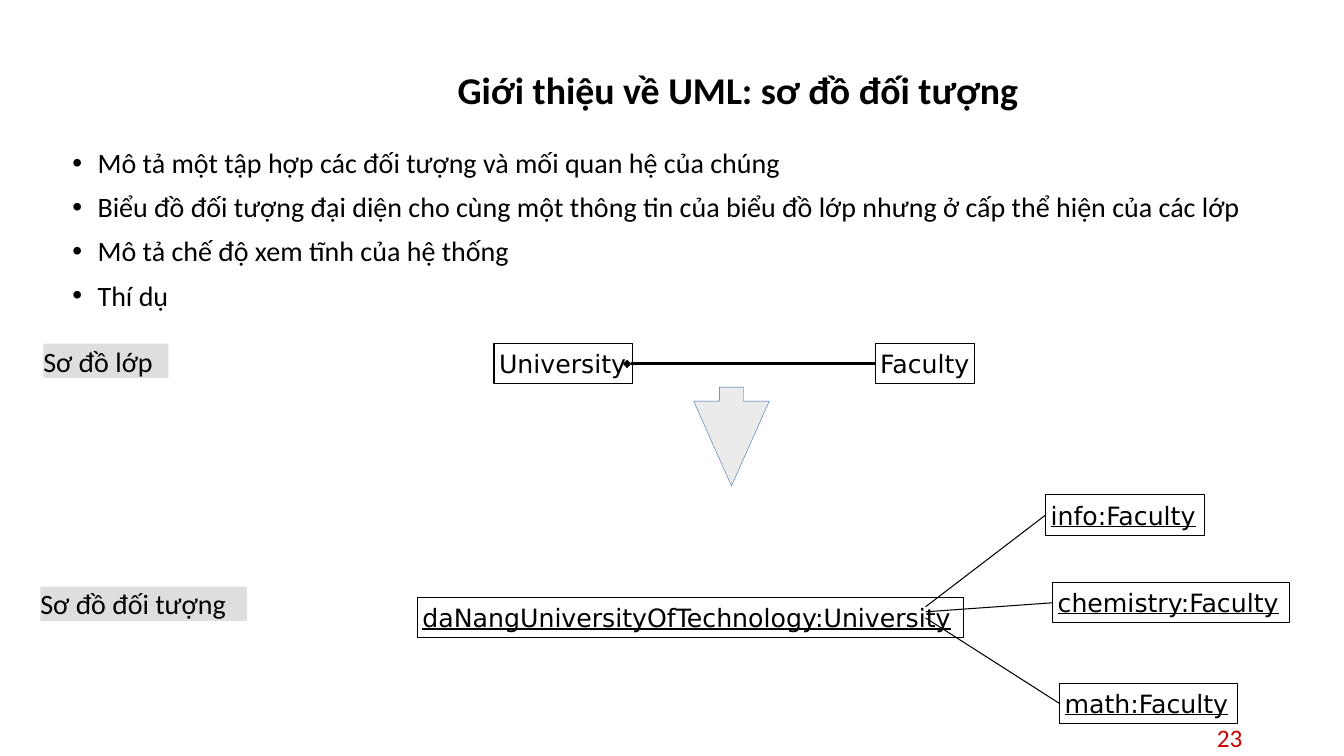
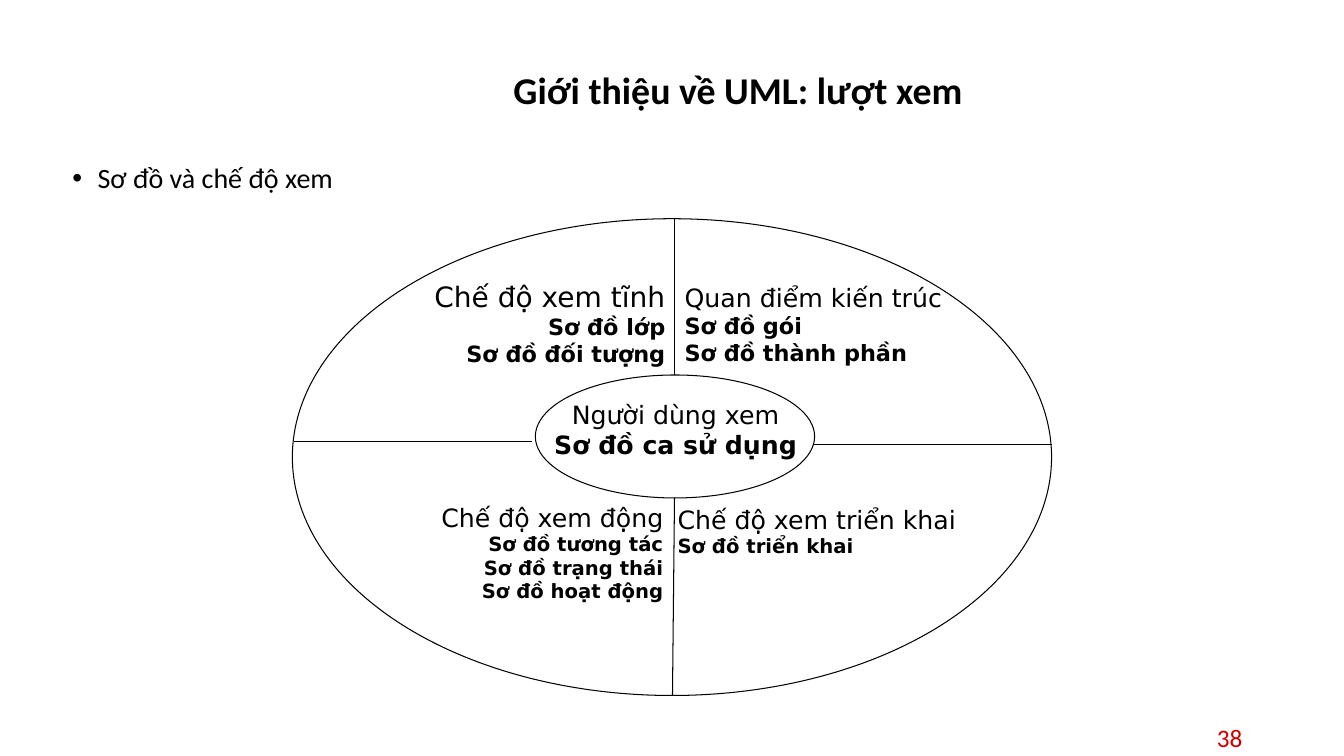
from lxml import etree
from pptx import Presentation
from pptx import util as u
from pptx.dml import color
from pptx.enum import shapes, text
from pptx.oxml import ns

HUES = {"ink": "000000", "page": "CC0000", "label": "DCDEE0", "arrow": "EBEBEB", "edge": "3465A4"}
BODY, CODE = "Calibri", "DejaVu Sans"
ALIGN = {"l": text.PP_ALIGN.LEFT, "c": text.PP_ALIGN.CENTER, "r": text.PP_ALIGN.RIGHT}
TOP, MID = text.MSO_ANCHOR.TOP, text.MSO_ANCHOR.MIDDLE


def hue(name):
    return color.RGBColor.from_string(HUES[name])


def write(frame, words, size=20, font=BODY, ink="ink", bold=False, under=False,
          align="l", lead=None, gap=None, dot=False):
    first = frame.paragraphs[0]
    para = frame.add_paragraph() if first.runs else first
    para.alignment = ALIGN[align]
    if lead:
        para.line_spacing = lead
    if gap:
        para.space_before = u.Pt(gap)
    if dot:
        props = para._p.get_or_add_pPr()
        props.set("marL", str(u.Inches(0.25)))
        props.set("indent", str(-u.Inches(0.25)))
        etree.SubElement(props, ns.qn("a:buFont")).set("typeface", "Arial")
        etree.SubElement(props, ns.qn("a:buChar")).set("char", "•")
    run = para.add_run()
    run.text = words
    run.font.size = u.Pt(size)
    run.font.name = font
    run.font.bold = bold
    run.font.underline = under
    run.font.color.rgb = hue(ink)


class Deck:
    def __init__(self):
        self.file = Presentation()
        self.file.slide_width = u.Inches(13.33)
        self.file.slide_height = u.Inches(7.5)
        self.slide = None

    def page(self, title, number, top, points):
        self.slide = self.file.slides.add_slide(self.file.slide_layouts[6])
        write(self.area(9.42, 7.14, 3, 0.36, MID), number, size=18, ink="page", align="r")
        write(self.area(2.23, 0.4, 10.18, 1.02, MID), title, size=27, bold=True,
              align="c", lead=0.9)
        body = self.area(0.62, top, 11.8, 6.75 - top)
        for point in points:
            write(body, point, lead=0.9, gap=10, dot=True)

    def area(self, x, y, w, h, anchor=TOP):
        box = self.slide.shapes.add_textbox(*map(u.Inches, (x, y, w, h)))
        frame = box.text_frame
        frame.word_wrap = True
        frame.vertical_anchor = anchor
        return frame

    def hug(self, frame, inset):
        frame.word_wrap = False
        frame.auto_size = text.MSO_AUTO_SIZE.SHAPE_TO_FIT_TEXT
        frame.margin_left = frame.margin_right = u.Inches(inset)
        frame.margin_top = frame.margin_bottom = u.Inches(inset)

    def form(self, kind, x, y, w, h, fill=None, edge=None, width=0.75):
        form = self.slide.shapes.add_shape(kind, *map(u.Inches, (x, y, w, h)))
        form.shadow.inherit = False
        if fill:
            form.fill.solid()
            form.fill.fore_color.rgb = hue(fill)
        else:
            form.fill.background()
        if edge:
            form.line.color.rgb = hue(edge)
            form.line.width = u.Pt(width)
        else:
            form.line.fill.background()
        return form

    def box(self, words, x, y, w, under=False):
        box = self.form(shapes.MSO_SHAPE.RECTANGLE, x, y, w, 0.4, edge="ink")
        box.text_frame.vertical_anchor = TOP
        self.hug(box.text_frame, 0.05)
        write(box.text_frame, words, size=18, font=CODE, under=under)
        return box

    def label(self, words, x, y, w):
        box = self.form(shapes.MSO_SHAPE.RECTANGLE, x, y, w, 0.34, fill="label")
        box.text_frame.vertical_anchor = MID
        self.hug(box.text_frame, 0)
        write(box.text_frame, words)

    def oval(self, x, y, w, h):
        self.form(shapes.MSO_SHAPE.OVAL, x, y, w, h, edge="ink")

    def arrow(self, x, y, w, h):
        arrow = self.form(shapes.MSO_SHAPE.DOWN_ARROW, x, y, w, h, "arrow", "edge", 0.25)
        arrow.adjustments[0] = 0.32
        arrow.adjustments[1] = 1.12

    def line(self, x, y, x2=0, y2=0, goal=None, width=0.75, head=None):
        line = self.slide.shapes.add_connector(
            shapes.MSO_CONNECTOR.STRAIGHT, *map(u.Inches, (x, y, x2, y2)))
        if goal is not None:
            line.end_connect(goal, 1)
        line.line.color.rgb = hue("ink")
        line.line.width = u.Pt(width)
        if head:
            etree.SubElement(line.line._get_or_add_ln(), ns.qn("a:headEnd")).set("type", head)
        etree.SubElement(line._element.spPr, ns.qn("a:effectLst"))

    def view(self, name, items, x, y, w, h, align="l", size=18, small=14):
        frame = self.area(x, y, w, h)
        self.hug(frame, 0.05)
        write(frame, name, size=size, font=CODE, align=align)
        for item in items:
            write(frame, item, size=small, font=CODE, bold=True, align=align)


def objects(deck):
    deck.page("Giới thiệu về UML: sơ đồ đối tượng", "23", 1.43, [
        "Mô tả một tập hợp các đối tượng và mối quan hệ của chúng",
        "Biểu đồ đối tượng đại diện cho cùng một thông tin của biểu đồ lớp "
        "nhưng ở cấp thể hiện của các lớp",
        "Mô tả chế độ xem tĩnh của hệ thống",
        "Thí dụ"])
    deck.box("daNangUniversityOfTechnology:University", 4.14, 5.93, 5.42, under=True)
    for words, x, y, w, start in [
            ("info:Faculty", 10.37, 4.91, 1.58, 6.02),
            ("chemistry:Faculty", 10.44, 5.78, 2.35, 6.07),
            ("math:Faculty", 10.51, 6.78, 1.76, 6.13)]:
        goal = deck.box(words, x, y, w, under=True)
        deck.line(9.18, start, goal=goal)
    deck.box("University", 4.9, 3.41, 1.37)
    goal = deck.box("Faculty", 8.68, 3.41, 0.99)
    deck.line(6.22, 3.61, goal=goal, width=2, head="diamond")
    deck.label("Sơ đồ lớp", 0.43, 3.41, 1.24)
    deck.label("Sơ đồ đối tượng", 0.4, 5.82, 2.05)
    deck.arrow(6.88, 3.84, 0.75, 0.98)


def views(deck):
    deck.page("Giới thiệu về UML: lượt xem", "38", 1.58, ["Sơ đồ và chế độ xem"])
    deck.oval(2.9, 2.17, 7.53, 4.73)
    deck.oval(5.31, 3.72, 2.77, 1.22)
    for ends in [(6.69, 2.17, 6.69, 3.72), (6.69, 4.94, 6.67, 6.9),
                 (2.92, 4.38, 5.28, 4.38), (8.07, 4.41, 10.43, 4.41)]:
        deck.line(*ends)
    deck.view("Chế độ xem tĩnh", ["Sơ đồ lớp", "Sơ đồ đối tượng"],
              4.22, 2.72, 2.43, 0.98, align="r", size=20, small=16)
    deck.view("Chế độ xem triển khai", ["Sơ đồ triển khai"], 6.67, 4.95, 2.92, 0.64)
    deck.view("Chế độ xem động", ["Sơ đồ tương tác", "Sơ đồ trạng thái", "Sơ đồ hoạt động"],
              4.29, 4.93, 2.34, 1.11, align="r")
    deck.view("Người dùng xem", ["Sơ đồ ca sử dụng"],
              5.44, 3.91, 2.52, 0.71, align="c", small=18)
    deck.view("Quan điểm kiến trúc", ["Sơ đồ gói", "Sơ đồ thành phần"],
              6.74, 2.75, 2.69, 0.94, small=16)


def main():
    deck = Deck()
    objects(deck)
    views(deck)
    deck.file.save("out.pptx")


if __name__ == "__main__":
    main()
